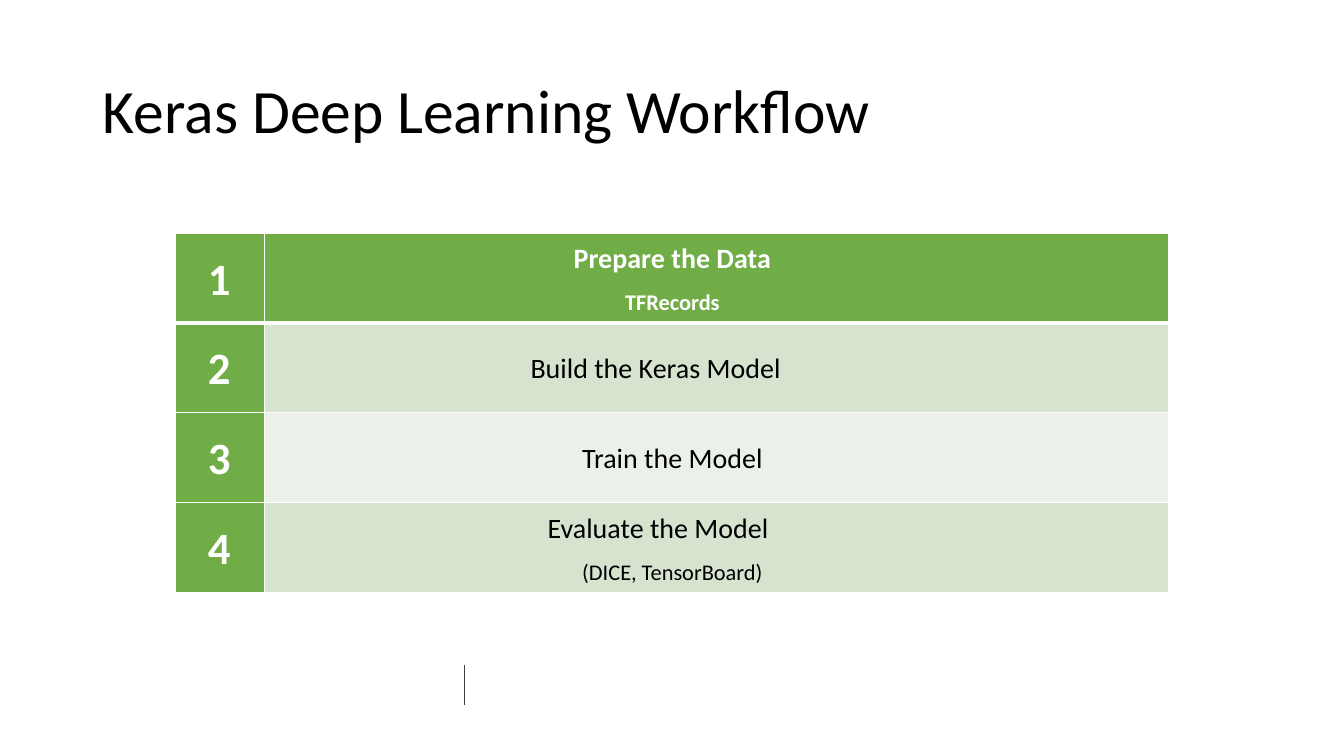
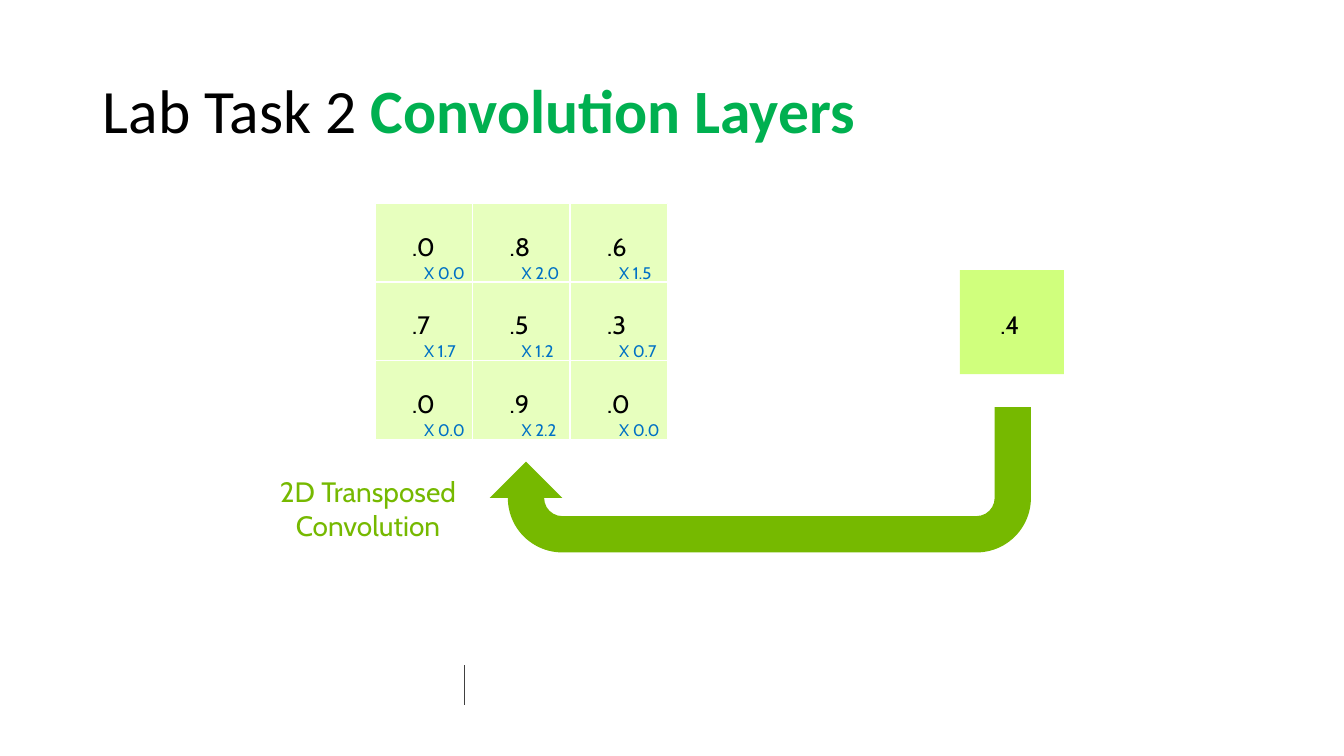
from dataclasses import dataclass
from typing import NamedTuple

import lxml.etree
import pptx
import pptx.dml.color
import pptx.enum.shapes
import pptx.enum.text
import pptx.oxml.ns
import pptx.util

Cm = pptx.util.Cm
Pt = pptx.util.Pt
ALIGN = pptx.enum.text.PP_ALIGN
ANCHOR = pptx.enum.text.MSO_ANCHOR
SHAPE = pptx.enum.shapes.MSO_SHAPE


@dataclass(frozen=True)
class Theme:
    body_font: str = "Calibri"
    diagram_font: str = "Cabin"
    black: str = "000000"
    white: str = "FFFFFF"
    title_accent: str = "00B050"
    divider: str = "404040"
    step_strong: str = "70AD47"
    step_medium: str = "D5E3CF"
    step_light: str = "EBF1E9"
    kernel: str = "E7FFBE"
    output: str = "D0FF7D"
    arrow: str = "76B900"
    weight: str = "0071C5"
    title_size: int = 44
    number_size: int = 32
    step_size: int = 20
    detail_size: int = 16
    value_size: int = 18
    weight_size: int = 12
    line_spacing: float = 1.07


THEME = Theme()


class Box(NamedTuple):
    left: float
    top: float
    width: float
    height: float

    def lengths(self):
        return [Cm(value) for value in self]


class Style(NamedTuple):
    size: int
    color: str
    font: str = THEME.body_font
    bold: bool = False


TITLE = Style(THEME.title_size, THEME.black)
TITLE_ACCENT = Style(THEME.title_size, THEME.title_accent, bold=True)
NUMBER = Style(THEME.number_size, THEME.white, bold=True)
VALUE = Style(THEME.value_size, THEME.black, THEME.diagram_font)
WEIGHT = Style(THEME.weight_size, THEME.weight, THEME.diagram_font)
CAPTION = Style(THEME.step_size, THEME.arrow, THEME.diagram_font)

TITLE_BOX = Box(2.34, 1.02, 29.21, 3.68)
DIVIDER_BOX = Box(11.71, 16.76, 0, 1)
WORKFLOW_BOX = Box(4.42, 5.87, 25.02, 9.06)
CONVOLUTION_BOX = Box(6.48, 5.13, 20.32, 8.79)

WORKFLOW_STEPS = [
    (THEME.step_strong, [("Prepare the Data", None), ("TFRecords", None)]),
    (THEME.step_medium, [("Build the Keras Model", 5.89)]),
    (THEME.step_light, [("Train the Model", None)]),
    (THEME.step_medium, [("Evaluate the Model", 6.32), ("(DICE, TensorBoard)", None)]),
]
KERNEL = [
    [(".0", "X 0.0"), (".8", "X 2.0"), (".6", "X 1.5")],
    [(".7", "X 1.7"), (".5", "X 1.2"), (".3", "X 0.7")],
    [(".0", "X 0.0"), (".9", "X 2.2"), (".0", "X 0.0")],
]


def rgb(color):
    return pptx.dml.color.RGBColor.from_string(color)


def add_filled_shape(slide, kind, box, color):
    shape = slide.shapes.add_shape(kind, *box.lengths())
    shape.shadow.inherit = False
    shape.fill.solid()
    shape.fill.fore_color.rgb = rgb(color)
    shape.line.fill.background()
    return shape


def add_line(slide, box, color):
    left, top, width, height = box.lengths()
    connector = slide.shapes.add_connector(
        pptx.enum.shapes.MSO_CONNECTOR.STRAIGHT, left, top, left + width, top + height)
    connector.line.color.rgb = rgb(color)
    connector.line.width = Pt(1)
    lxml.etree.SubElement(connector._element.spPr, pptx.oxml.ns.qn("a:effectLst"))


def add_run(paragraph, text, style):
    run = paragraph.add_run()
    run.text = text
    run.font.name = style.font
    run.font.size = Pt(style.size)
    run.font.bold = style.bold
    run.font.color.rgb = rgb(style.color)


def add_paragraph(frame, text, style, align=ALIGN.LEFT, indent=0,
                  spacing=THEME.line_spacing, after=0):
    first = frame.paragraphs[0]
    paragraph = frame.add_paragraph() if first.runs else first
    paragraph.alignment = align
    paragraph.line_spacing = spacing
    paragraph.space_after = Pt(after)
    if indent:
        paragraph._p.get_or_add_pPr().set("marL", str(Cm(indent)))
    add_run(paragraph, text, style)


def set_margins(target, left=0, top=0, right=0, bottom=0):
    target.margin_left, target.margin_top = Cm(left), Cm(top)
    target.margin_right, target.margin_bottom = Cm(right), Cm(bottom)


def add_label(slide, box, lines, style, align=ALIGN.LEFT, spacing=THEME.line_spacing):
    frame = slide.shapes.add_textbox(*box.lengths()).text_frame
    frame.word_wrap = True
    set_margins(frame)
    for text in lines:
        add_paragraph(frame, text, style, align, spacing=spacing)


def format_cell(cell, color, bottom_width):
    properties = cell._tc.get_or_add_tcPr()
    for edge, width in (("L", 1), ("R", 1), ("T", 1), ("B", bottom_width)):
        line = lxml.etree.SubElement(
            properties, pptx.oxml.ns.qn(f"a:ln{edge}"), w=str(Pt(width)))
        fill = lxml.etree.SubElement(line, pptx.oxml.ns.qn("a:solidFill"))
        lxml.etree.SubElement(fill, pptx.oxml.ns.qn("a:srgbClr"), val=THEME.white)
    cell.fill.solid()
    cell.fill.fore_color.rgb = rgb(color)


def add_titled_slide(presentation, title_runs):
    slide = presentation.slides.add_slide(presentation.slide_layouts[5])
    title = slide.shapes.title
    title.left, title.top, title.width, title.height = TITLE_BOX.lengths()
    frame = title.text_frame
    frame.word_wrap = True
    frame.vertical_anchor = ANCHOR.MIDDLE
    paragraph = frame.paragraphs[0]
    paragraph.alignment = ALIGN.LEFT
    paragraph.line_spacing = 0.9
    for text, style in title_runs:
        add_run(paragraph, text, style)
    add_line(slide, DIVIDER_BOX, THEME.divider)
    return slide


def add_workflow_table(slide, box):
    number_width = 2.24
    row_count = len(WORKFLOW_STEPS)
    table = slide.shapes.add_table(row_count, 2, *box.lengths()).table
    table.first_row = False
    table.horz_banding = False
    for column, width in zip(table.columns, (number_width, box.width - number_width)):
        column.width = Cm(width)
    for index, (color, lines) in enumerate(WORKFLOW_STEPS):
        is_header = index == 0
        row = table.rows[index]
        row.height = Cm(box.height / row_count)
        number_cell, step_cell = row.cells
        for cell, fill, right in ((number_cell, THEME.step_strong, 0.2),
                                  (step_cell, color, 3.03)):
            format_cell(cell, fill, 3 if is_header else 1)
            set_margins(cell, left=0.82, right=right)
            cell.vertical_anchor = ANCHOR.MIDDLE
        add_paragraph(number_cell.text_frame, str(index + 1), NUMBER, after=8)
        text_color = THEME.white if is_header else THEME.black
        for (text, indent), size in zip(lines, (THEME.step_size, THEME.detail_size)):
            add_paragraph(step_cell.text_frame, text,
                          Style(size, text_color, bold=is_header),
                          ALIGN.LEFT if indent else ALIGN.CENTER, indent, after=8)


def add_kernel_grid(slide, box):
    row_count, column_count = len(KERNEL), len(KERNEL[0])
    width, height = box.width / column_count, box.height / row_count
    cells = [
        (Box(box.left + column * width, box.top + row * height, width, height), entry)
        for row, entries in enumerate(KERNEL)
        for column, entry in enumerate(entries)
    ]
    for cell, _ in cells:
        add_filled_shape(slide, SHAPE.RECTANGLE, cell, THEME.kernel)
    for column in range(column_count + 1):
        add_line(slide, Box(box.left + column * width, box.top, 0, box.height),
                 THEME.white)
    for row in range(row_count + 1):
        add_line(slide, Box(box.left, box.top + row * height, box.width, 0),
                 THEME.white)
    for cell, (value, weight) in cells:
        add_label(slide, Box(cell.left + 0.94, cell.top + 0.64, 0.76, 0.99),
                  [value], VALUE)
        add_label(slide, Box(cell.left + 1.24, cell.top + 1.45, 1.27, 0.66),
                  [weight], WEIGHT)


def add_output_square(slide, box):
    add_filled_shape(slide, SHAPE.RECTANGLE, box, THEME.output)
    add_label(slide, Box(box.left + 1.02, box.top + 0.94, 0.76, 0.99), [".4"], VALUE)


def add_return_arrow(slide, box):
    arrow = add_filled_shape(slide, SHAPE.U_TURN_ARROW, box, THEME.arrow)
    arrow.rotation = 180
    for index, ratio in enumerate((0.25, 0.25, 0.25, 0.375, 0.625)):
        arrow.adjustments[index] = ratio


def add_convolution_diagram(slide, box):
    left, top = box.left, box.top
    add_kernel_grid(slide, Box(left + 2.97, top, 7.37, 5.94))
    add_output_square(slide, Box(left + 17.71, top + 1.68, 2.62, 2.62))
    add_return_arrow(slide, Box(left + 5.86, top + 5.13, 13.64, 3.66))
    add_label(slide, Box(left, top + 6.83, 5.59, 1.78),
              ["2D Transposed", "Convolution"], CAPTION, ALIGN.CENTER, 1)


def main():
    presentation = pptx.Presentation()
    presentation.slide_width = Cm(33.87)
    presentation.slide_height = Cm(19.05)
    workflow = add_titled_slide(
        presentation, [("Keras Deep Learning Workflow", TITLE)])
    add_workflow_table(workflow, WORKFLOW_BOX)
    convolution = add_titled_slide(
        presentation, [("Lab Task 2 ", TITLE), ("Convolution Layers", TITLE_ACCENT)])
    add_convolution_diagram(convolution, CONVOLUTION_BOX)
    presentation.save("out.pptx")


if __name__ == "__main__":
    main()
